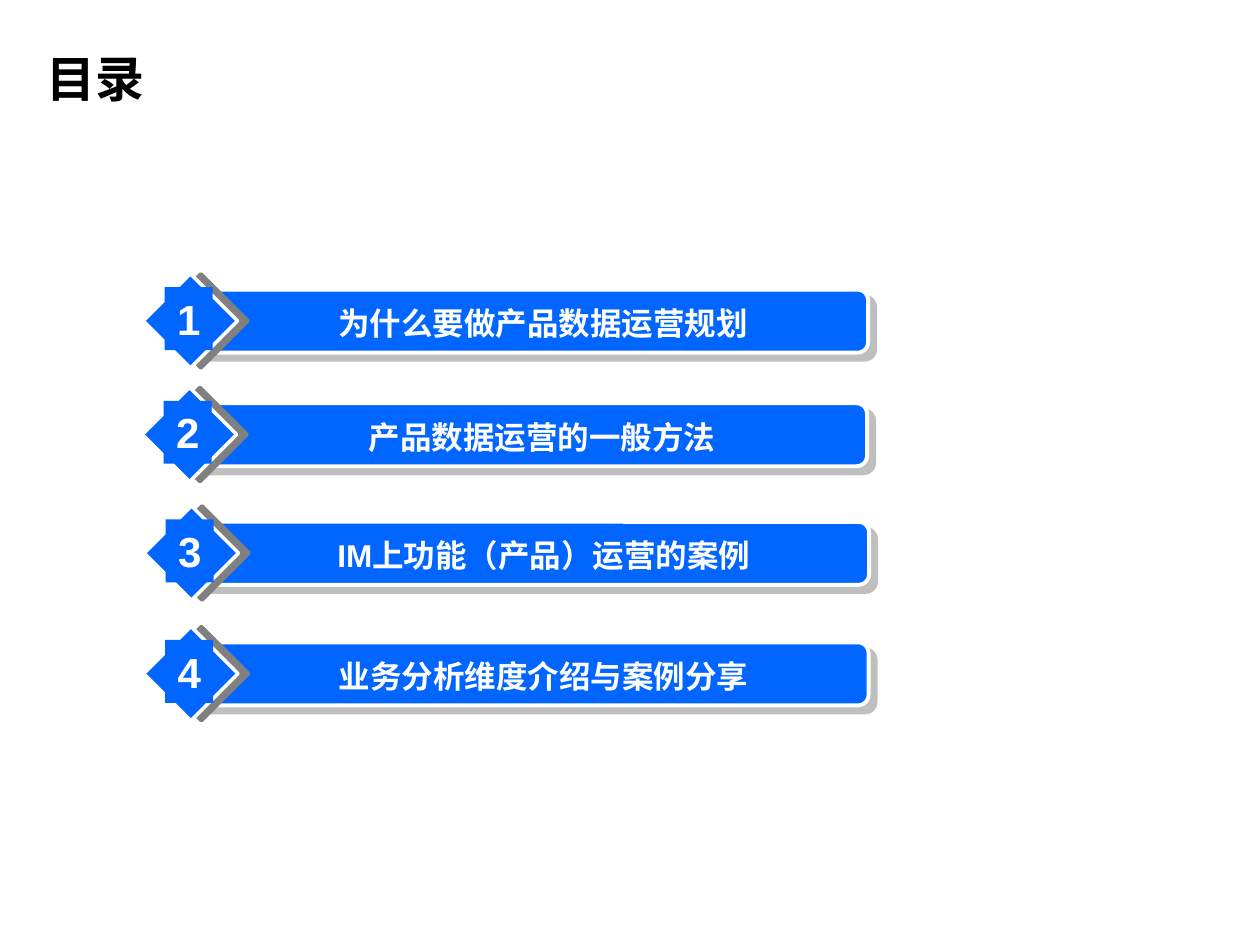
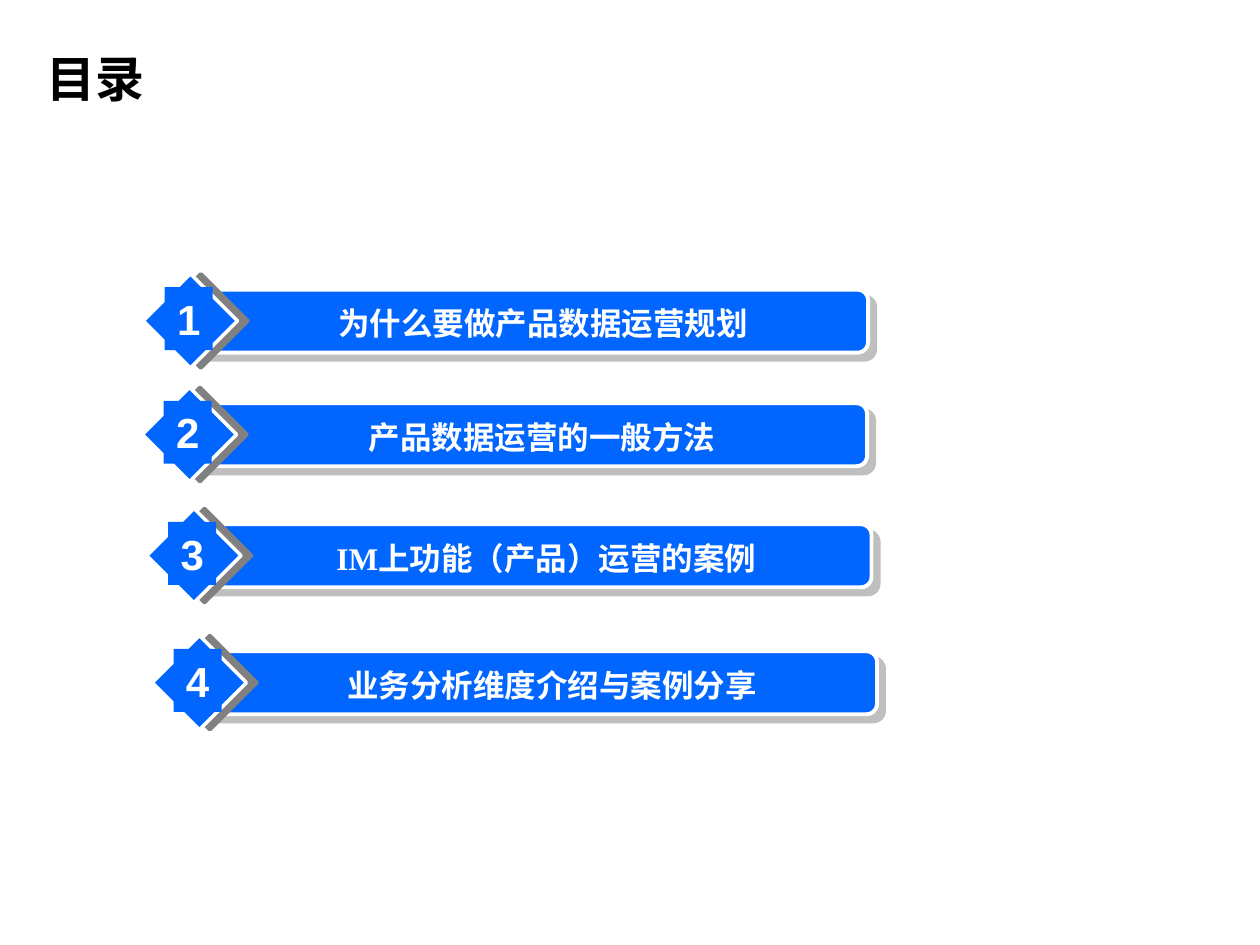
from lxml.etree import SubElement
from pptx import Presentation
from pptx.dml.color import RGBColor
from pptx.enum.shapes import MSO_SHAPE
from pptx.enum.text import MSO_ANCHOR, MSO_AUTO_SIZE, PP_ALIGN
from pptx.oxml.ns import qn
from pptx.util import Cm, Pt

HUES = {"blue": "0066FF", "white": "FFFFFF", "black": "000000", "gray": "808080"}
SANS, SERIF = "Arial", "Times New Roman"
TOPICS = [
    "为什么要做产品数据运营规划",
    "产品数据运营的一般方法",
    "IM上功能（产品）运营的案例",
    "业务分析维度介绍与案例分享",
]
PAGES = [
    {
        "spots": [(3.73, 5.84), (3.71, 8.13), (3.75, 10.52), (3.74, 12.95)],
        "fonts": [SANS, SERIF, SANS, SANS],
    },
    {
        "spots": [(3.73, 5.84), (3.71, 8.13), (3.8, 10.57), (3.91, 13.13)],
        "fonts": [SANS, SERIF, SERIF, SERIF],
    },
]


def hue(name):
    """Return the named colour."""
    return RGBColor.from_string(HUES[name])


def apply(item, style):
    """Set each attribute in the style on the item."""
    for key, value in style.items():
        setattr(item, key, value)


def write(shape, text, font, size, color, frame, align):
    """Write one bold line of text into a shape."""
    body = shape.text_frame
    apply(body, frame)
    line = body.paragraphs[0]
    line.alignment = align
    run = line.add_run()
    run.text = text
    apply(run.font, {"name": font, "size": Pt(size), "bold": True})
    run.font.color.rgb = hue(color)


def block(slide, kind, left, top, width, height):
    """Add a blue shape without line or shadow."""
    shape = slide.shapes.add_shape(kind, Cm(left), Cm(top), Cm(width), Cm(height))
    shape.shadow.inherit = False
    shape.fill.solid()
    shape.fill.fore_color.rgb = hue("blue")
    shape.line.fill.background()
    return shape


def edge(shape, width):
    """Give a shape a white line."""
    shape.line.color.rgb = hue("white")
    shape.line.width = Pt(width)


def shade(shape, dist, angle, alpha):
    """Give a shape a hard gray shadow."""
    effects = shape._element.spPr.find(qn("a:effectLst"))
    cast = SubElement(
        effects, qn("a:outerShdw"), blurRad="0", dist=str(Pt(dist)),
        dir=str(angle * 60000), algn="ctr", rotWithShape="0",
    )
    tint = SubElement(cast, qn("a:srgbClr"), val=HUES["gray"])
    SubElement(tint, qn("a:alpha"), val=str(alpha * 1000))


def title(slide, text):
    """Add the slide title."""
    box = slide.shapes.add_textbox(Cm(0.69), Cm(0.41), Cm(16.69), Cm(2.34))
    frame = {"word_wrap": True, "vertical_anchor": MSO_ANCHOR.MIDDLE}
    write(box, text, SERIF, 28, "black", frame, PP_ALIGN.LEFT)


def entry(slide, left, top, number, topic, font):
    """Add one numbered bar of the contents list."""
    bar = block(slide, MSO_SHAPE.ROUNDED_RECTANGLE, left, top, 13.77, 1.27)
    edge(bar, 2.25)
    shade(bar, 5.7, 45, 50)
    gem = block(slide, MSO_SHAPE.DIAMOND, left - 0.84, top - 0.32, 1.9, 1.9)
    edge(gem, 2)
    shade(gem, 6, 0, 100)
    frame = {
        "vertical_anchor": MSO_ANCHOR.TOP,
        "auto_size": MSO_AUTO_SIZE.SHAPE_TO_FIT_TEXT,
        "word_wrap": True,
    }
    label = block(slide, MSO_SHAPE.RECTANGLE, left + 1.5, top + 0.17, 11.43, 1.02)
    write(label, topic, font, 18, "white", frame, PP_ALIGN.CENTER)
    badge = block(slide, MSO_SHAPE.RECTANGLE, left - 0.41, top - 0.05, 0.97, 1.27)
    frame = {**frame, "word_wrap": False}
    write(badge, str(number), SANS, 24, "white", frame, PP_ALIGN.CENTER)


def main():
    """Build both contents slides."""
    deck = Presentation()
    apply(deck, {"slide_width": Cm(25.4), "slide_height": Cm(19.05)})
    for page in PAGES:
        slide = deck.slides.add_slide(deck.slide_layouts[6])
        title(slide, "目录")
        rows = zip(page["spots"], TOPICS, page["fonts"])
        for number, ((left, top), topic, font) in enumerate(rows, 1):
            entry(slide, left, top, number, topic, font)
    deck.save("out.pptx")


if __name__ == "__main__":
    main()
